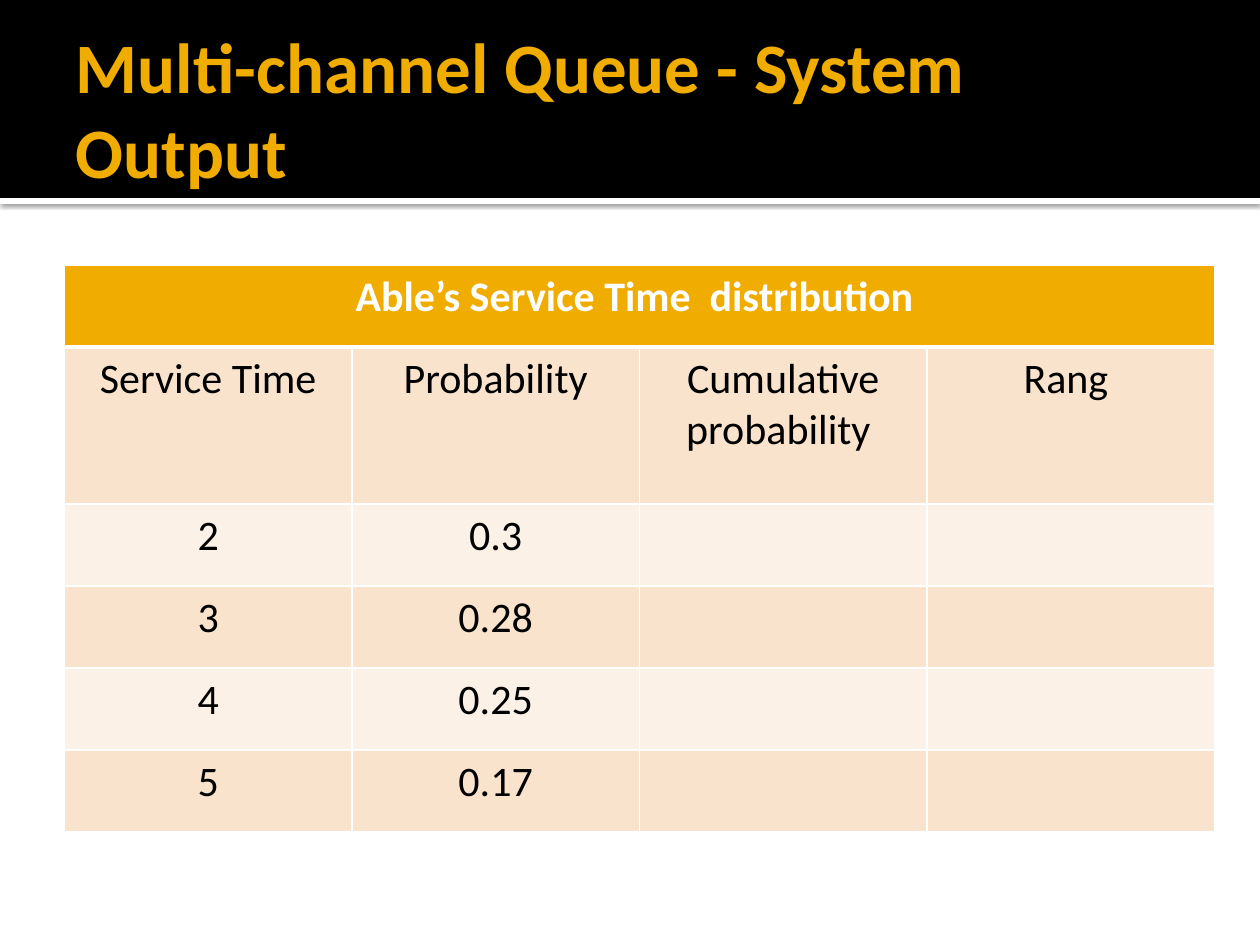
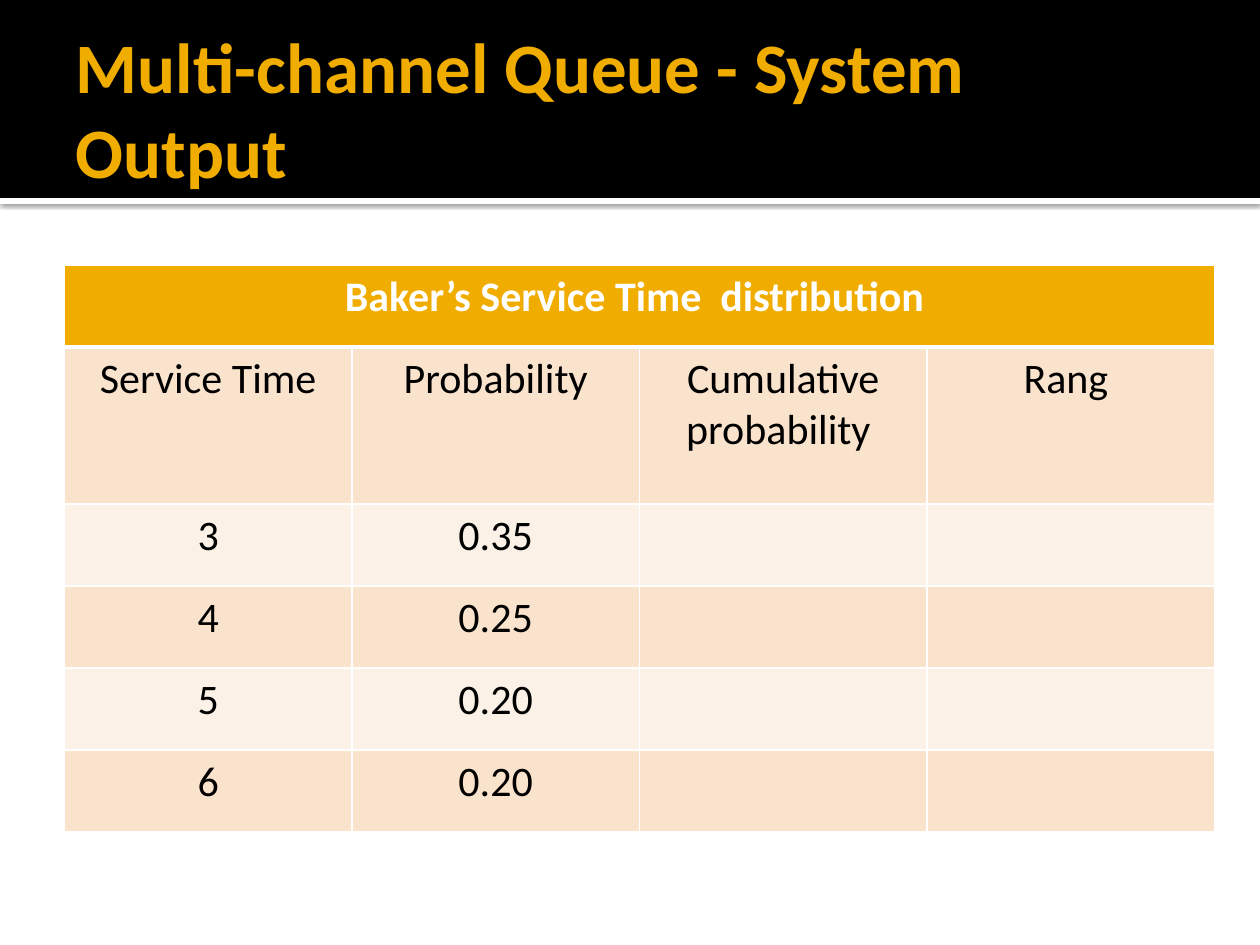
from lxml import etree
from pptx import Presentation
from pptx import util as u
from pptx.dml.color import RGBColor
from pptx.enum import shapes, text
from pptx.oxml import parse_xml
from pptx.oxml.ns import nsdecls, qn

SCALE = 914400 / 126
GOLD, WHITE, BLACK = "F0AD00", "FFFFFF", "000000"
DARK_BAND, LIGHT_BAND = "F9E3CC", "FCF1E7"
TITLE = "Multi-channel Queue - System Output"
HEADINGS = ["Service Time", "Probability", "Cumulative probability ", "Rang "]
COLUMN_WIDTH = 287.5
ROW_HEIGHTS = [82, 157, 82, 82, 82, 82]
SHADOW = (
    f'<a:effectLst {nsdecls("a")}><a:outerShdw blurRad="31750" dist="10160" dir="5400000" '
    'algn="tl" rotWithShape="0"><a:srgbClr val="000000"><a:alpha val="60000"/></a:srgbClr>'
    "</a:outerShdw></a:effectLst>"
)
SLIDES = [
    ("Able’s Service Time  distribution ",
     [("2", "0.3"), ("3", "0.28"), ("4", "0.25"), ("5", "0.17")]),
    ("Baker’s Service Time  distribution ",
     [("3", "0.35"), ("4", "0.25"), ("5", "0.20"), ("6", "0.20")]),
]


def px(*lengths):
    return [u.Emu(round(length * SCALE)) for length in lengths]


def write(para, words, size, color, bold):
    span = para.add_run()
    span.text = words
    style = {"name": "Calibri", "size": u.Pt(size), "bold": bold}
    for name, value in style.items():
        setattr(span.font, name, value)
    span.font.color.rgb = RGBColor.from_string(color)


deck = Presentation()
deck.slide_width, deck.slide_height = px(1260, 945)

for heading, values in SLIDES:
    page = deck.slides.add_slide(deck.slide_layouts[6])

    for top, height, color in [(198, 6, WHITE), (0, 198, BLACK)]:
        band = page.shapes.add_shape(shapes.MSO_SHAPE.RECTANGLE, *px(0, top, 1260, height))
        band.fill.solid()
        band.fill.fore_color.rgb = RGBColor.from_string(color)
        band.line.fill.background()
        band.shadow.inherit = False
        if color == WHITE:
            properties = band._element.spPr
            properties.replace(properties.find(qn("a:effectLst")), parse_xml(SHADOW))

    box = page.shapes.add_textbox(*px(63, 21, 1134, 173))
    left, edge = px(13, 6)
    layout = {"word_wrap": True, "vertical_anchor": text.MSO_ANCHOR.MIDDLE, "margin_left": left,
              "margin_top": edge, "margin_right": left, "margin_bottom": edge}
    for name, value in layout.items():
        setattr(box.text_frame, name, value)
    write(box.text_frame.paragraphs[0], TITLE, 40.5, GOLD, True)

    rows = [[heading, "", "", ""], HEADINGS] + [[*pair, "", ""] for pair in values]
    table = page.shapes.add_table(
        len(rows), len(HEADINGS), *px(64.5, 265, COLUMN_WIDTH * 4, sum(ROW_HEIGHTS))).table
    for column in table.columns:
        column.width = px(COLUMN_WIDTH)[0]
    for row, height in zip(table.rows, ROW_HEIGHTS):
        row.height = px(height)[0]
    table.cell(0, 0).merge(table.cell(0, 3))

    for r, words in enumerate(rows):
        fill = GOLD if r == 0 else (DARK_BAND if r % 2 else LIGHT_BAND)
        for c, word in enumerate(words):
            cell = table.cell(r, c)
            cell.fill.solid()
            cell.fill.fore_color.rgb = RGBColor.from_string(fill)
            para = cell.text_frame.paragraphs[0]
            para.alignment = text.PP_ALIGN.CENTER
            if word:
                write(para, word, 24, BLACK if r else WHITE, r == 0)
            properties = cell._tc.get_or_add_tcPr()
            for place, side in enumerate(["lnL", "lnR", "lnT", "lnB"]):
                thick = (r, side) in [(0, "lnB"), (1, "lnT")]
                border = etree.Element(qn(f"a:{side}"), w=str(u.Pt(3 if thick else 1)))
                paint = etree.SubElement(border, qn("a:solidFill"))
                etree.SubElement(paint, qn("a:srgbClr"), val=WHITE)
                properties.insert(place, border)

deck.save("out.pptx")
